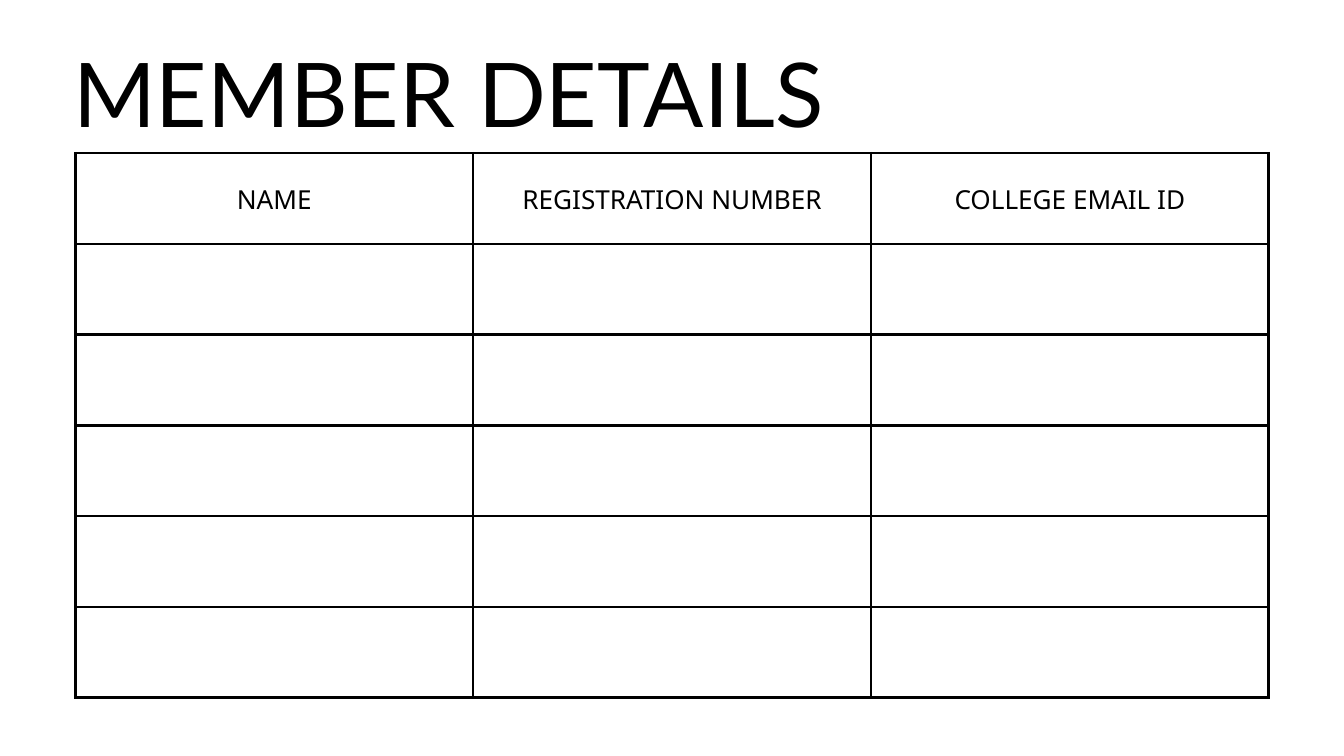
from dataclasses import dataclass

from lxml import etree
from pptx import Presentation
from pptx.dml.color import RGBColor
from pptx.enum.text import MSO_ANCHOR, PP_ALIGN
from pptx.oxml.ns import qn
from pptx.util import Emu, Pt

CENTER = PP_ALIGN.CENTER
MIDDLE = MSO_ANCHOR.MIDDLE
EMU_PER_PX = 9144  # 100 px to the inch
BLANK_LAYOUT = 6


@dataclass(frozen=True)
class Theme:
    ink: str = "000000"
    paper: str = "FFFFFF"
    title_font: str = "Lato"
    title_size: float = 95.6
    title_leading: float = 133.9
    body_font: str = "Noto Sans"
    body_size: float = 28
    body_leading: float = 39.2
    border_width: float = 3


def px(length):
    return Emu(length * EMU_PER_PX)


def write_text(frame, text, *, font, size, leading, color, align=CENTER):
    para = frame.paragraphs[0]
    para.alignment = align
    para.line_spacing = Pt(leading)
    span = para.add_run()
    span.text = text
    span.font.name = font
    span.font.size = Pt(size)
    span.font.color.rgb = RGBColor.from_string(color)


class Builder:
    def __init__(self, page, theme):
        self.page = page
        self.theme = theme

    def background(self):
        fill = self.page.background.fill
        fill.solid()
        fill.fore_color.rgb = RGBColor.from_string(self.theme.paper)

    def title(self, text, left, top, width, height):
        box = self.page.shapes.add_textbox(px(left), px(top), px(width), px(height))
        frame = box.text_frame
        frame.word_wrap = True
        frame.margin_left = frame.margin_right = 0
        frame.margin_top = frame.margin_bottom = 0
        theme = self.theme
        write_text(frame, text, font=theme.title_font, size=theme.title_size,
                   leading=theme.title_leading, color=theme.ink)

    def border(self, cell):
        properties = cell._tc.get_or_add_tcPr()
        for index, side in enumerate(("a:lnL", "a:lnR", "a:lnT", "a:lnB")):
            line = etree.Element(qn(side), w=str(Pt(self.theme.border_width)))
            fill = etree.SubElement(line, qn("a:solidFill"))
            etree.SubElement(fill, qn("a:srgbClr"), val=self.theme.ink)
            properties.insert(index, line)

    def table(self, headers, row_count, left, top, column_width, row_height, inset):
        theme = self.theme
        column_count = len(headers)
        table = self.page.shapes.add_table(
            row_count, column_count, px(left), px(top),
            px(column_width * column_count), px(row_height * row_count)).table
        table.first_row = table.horz_banding = False
        for column in table.columns:
            column.width = px(column_width)
        for row in table.rows:
            row.height = px(row_height)
        for cell in table.iter_cells():
            cell.fill.background()
            self.border(cell)
        # Header labels
        for cell, label in zip(table.rows[0].cells, headers):
            cell.vertical_anchor = MIDDLE
            cell.margin_left = cell.margin_right = px(inset)
            cell.margin_top = cell.margin_bottom = px(inset)
            write_text(cell.text_frame, label, font=theme.body_font,
                       size=theme.body_size, leading=theme.body_leading,
                       color=theme.ink)


def main():
    deck = Presentation()
    deck.slide_width, deck.slide_height = px(2000), px(1125)
    page = deck.slides.add_slide(deck.slide_layouts[BLANK_LAYOUT])
    builder = Builder(page, Theme())
    builder.background()

    # Member table: one header row and five empty rows
    builder.table(("NAME", "REGISTRATION NUMBER", "COLLEGE EMAIL ID"), row_count=6,
                  left=112, top=228, column_width=592, row_height=135, inset=21)

    # Title
    builder.title("MEMBER DETAILS", left=26, top=30, width=1283, height=174)

    deck.save("out.pptx")


if __name__ == "__main__":
    main()
